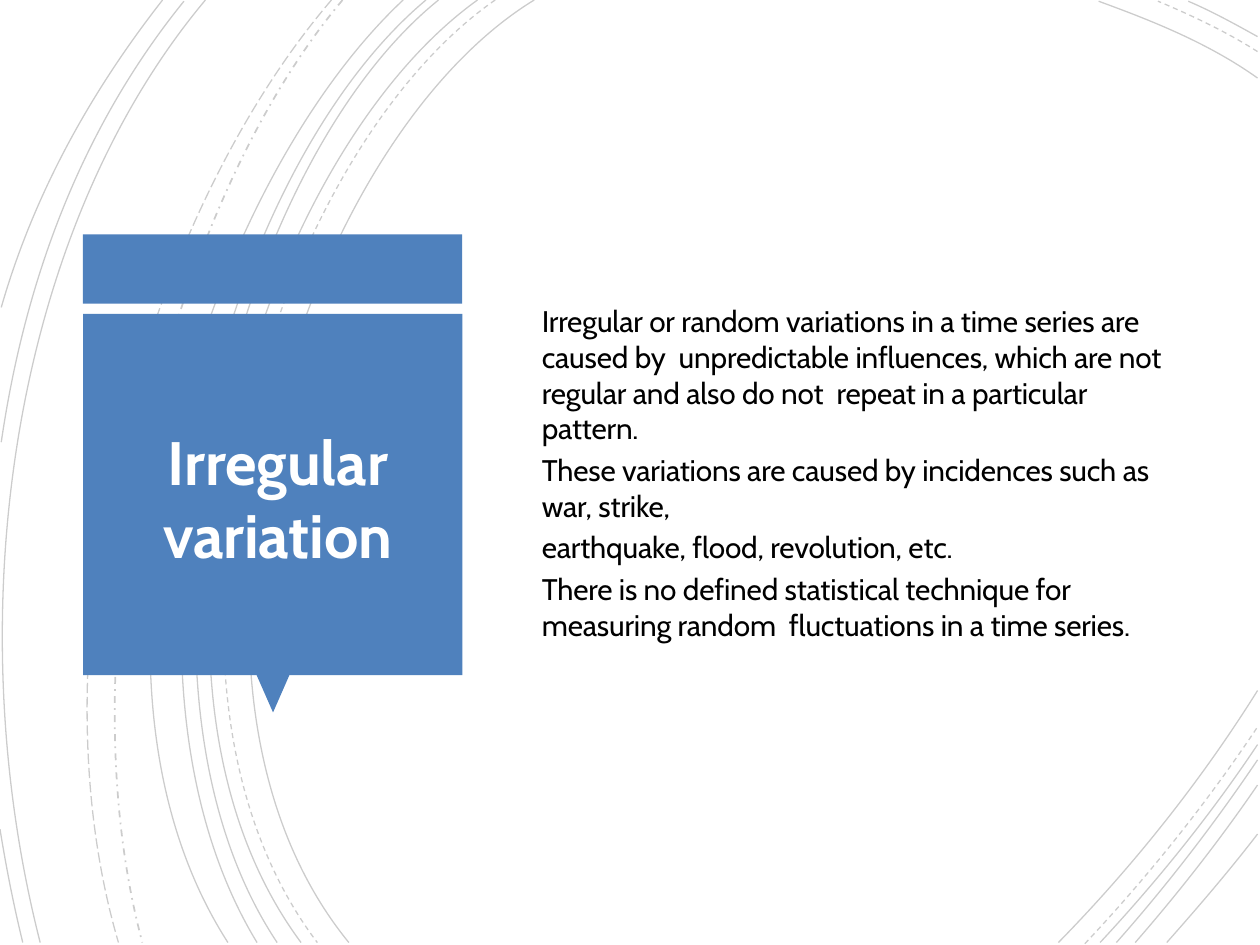
from lxml import etree
from pptx import Presentation
from pptx.dml.color import RGBColor
from pptx.enum.dml import MSO_LINE
from pptx.enum.shapes import MSO_SHAPE
from pptx.enum.text import MSO_ANCHOR, MSO_AUTO_SIZE, PP_ALIGN
from pptx.oxml.ns import qn
from pptx.util import Pt

BLACK = RGBColor(0x00, 0x00, 0x00)
WHITE = RGBColor(0xFF, 0xFF, 0xFF)
BLUE = RGBColor(0x4F, 0x81, 0xBD)
RECTANGLE = MSO_SHAPE.RECTANGLE
TRIANGLE = MSO_SHAPE.ISOSCELES_TRIANGLE
SOLID = MSO_LINE.SOLID
DASH = MSO_LINE.DASH
DASH_DOT = MSO_LINE.DASH_DOT
LONG_DASH = MSO_LINE.LONG_DASH
MIDDLE = MSO_ANCHOR.MIDDLE
NO_AUTOFIT = MSO_AUTO_SIZE.NONE
LEFT = PP_ALIGN.LEFT
CENTER = PP_ALIGN.CENTER

BOTTOM = 538.6
RIGHT = 718.6
ARCS = [
    (SOLID, 0.75, (305.3, 0), (169.9, 82.8), (77, 388.8), (199.4, BOTTOM)),
    (SOLID, 0.75, (RIGHT, 44.6), (690.5, 24.5), (657.4, 11.5), (627.8, 0.7)),
    (SOLID, 0.75, (604.8, BOTTOM), (645.8, 496.8), (685.4, 447.8), (RIGHT, 394.6)),
    (DASH, 0.75, (283, 0), (153.4, 90), (66.2, 386.6), (181.4, BOTTOM)),
    (DASH, 0.75, (RIGHT, 29.5), (700.6, 18), (680.4, 8.6), (661.7, 0.7)),
    (DASH, 0.75, (619.9, 539.3), (654.5, 502.6), (688.3, 460.8), (RIGHT, 415.4)),
    (SOLID, 0.75, (272.9, 0), (145.4, 91.4), (59, 386.6), (172.1, BOTTOM)),
    (SOLID, 0.75, (RIGHT, 20.9), (705.6, 13.7), (692.6, 6.5), (679, 0.7)),
    (SOLID, 0.75, (628.6, BOTTOM), (660.2, 504.7), (691.2, 466.6), (RIGHT, 425.5)),
    (SOLID, 0.75, (250.6, 0), (131.8, 95.8), (59, 389.5), (158.4, BOTTOM)),
    (SOLID, 0.75, (637.9, BOTTOM), (666, 506.9), (693.4, 471.6), (RIGHT, 434.2)),
    (SOLID, 0.75, (243.4, 0), (124.6, 99.4), (52.6, 383.8), (146.9, BOTTOM)),
    (SOLID, 0.75, (648.7, BOTTOM), (673.2, 510.5), (697, 480.2), (RIGHT, 448.6)),
    (SOLID, 0.75, (230.4, 0), (117.4, 105.8), (28.8, 380.9), (130.3, BOTTOM)),
    (SOLID, 0.75, (666.7, BOTTOM), (684, 519.1), (702, 498.2), (RIGHT, 476.6)),
    (DASH_DOT, 1, (195.8, 0), (95, 119.5), (35.3, 366.5), (81.4, BOTTOM)),
    (LONG_DASH, 0.75, (189.4, 0), (85, 121.7), (15.1, 359.3), (67.7, BOTTOM)),
    (SOLID, 0.75, (117.4, 0), (5.8, 133.2), (-24.5, 352.8), (23, BOTTOM)),
    (SOLID, 0.75, (105.1, 0.7), (49.7, 69.1), (15.1, 154.1), (0.7, 252.7)),
    (SOLID, 0.75, (0, 473.8), (3.6, 496.1), (7.9, 517.7), (13, BOTTOM)),
    (SOLID, 0.75, (92.9, 0), (54, 49.7), (20.2, 108), (0.7, 175.7)),
]
CAUSES = [
    "Irregular or random variations in a time series are caused by  unpredictable "
    "influences, which are not regular and also do not  repeat in a particular pattern.",
    "These variations are caused by incidences such as war, strike,",
    "earthquake, flood, revolution, etc.",
    "There is no defined statistical technique for measuring random  fluctuations "
    "in a time series.",
]


def write_paragraph(paragraph, text, *, size, color, bold=False, align=LEFT,
                    indent=0, before=None):
    """Write one formatted, unbulleted paragraph."""
    paragraph.alignment = align
    if before is not None:
        paragraph.space_before = Pt(before)
    properties = paragraph._p.get_or_add_pPr()
    properties.set("marL", str(Pt(indent)))
    properties.set("indent", "0")
    etree.SubElement(properties, qn("a:buNone"))
    run = paragraph.add_run()
    run.text = text
    run.font.name = "Cabin"
    run.font.size = Pt(size)
    run.font.bold = bold
    run.font.color.rgb = color
    run._r.get_or_add_rPr().set("spc", "-10")


class SlideBuilder:
    """Hold the style and the current slide."""

    def __init__(self, slide, accent=BLUE, line_color=BLACK, line_opacity=20):
        self.slide = slide
        self.accent = accent
        self.line_color = line_color
        self.line_opacity = line_opacity

    def group(self):
        """Add an empty group."""
        return self.slide.shapes.add_group_shape()

    def arc(self, group, dash, width, *points):
        """Draw one faint Bezier curve."""
        start, *rest = [(Pt(x), Pt(y)) for x, y in points]
        builder = group.shapes.build_freeform(*start)
        builder.add_line_segments(rest, close=False)
        curve = builder.convert_to_shape()
        curve.shadow.inherit = False
        curve.fill.background()
        curve.line.width = Pt(width)
        curve.line.color.rgb = self.line_color
        curve.line.dash_style = dash
        color = next(curve.line._ln.iter(qn("a:srgbClr")))
        etree.SubElement(color, qn("a:alpha"), val=str(self.line_opacity * 1000))
        outline = next(curve._element.iter(qn("a:path")))
        segments = outline.findall(qn("a:lnTo"))
        bezier = etree.SubElement(outline, qn("a:cubicBezTo"))
        for segment in segments:
            bezier.append(segment[0])
            outline.remove(segment)

    def block(self, group, kind, left, top, width, height, rotation=0):
        """Add one plain accent-coloured shape."""
        block = group.shapes.add_shape(kind, Pt(left), Pt(top), Pt(width), Pt(height))
        block.rotation = rotation
        block.shadow.inherit = False
        block.fill.solid()
        block.fill.fore_color.rgb = self.accent
        block.line.fill.background()

    def placeholder(self, index, left, top, width, height, texts, **text_format):
        """Place and fill a placeholder in front of the other shapes."""
        holder = self.slide.placeholders[index]
        holder.left, holder.top = Pt(left), Pt(top)
        holder.width, holder.height = Pt(width), Pt(height)
        self.slide.shapes._spTree.append(holder._element)
        frame = holder.text_frame
        frame.word_wrap = True
        frame.auto_size = NO_AUTOFIT
        frame.vertical_anchor = MIDDLE
        for number, text in enumerate(texts):
            paragraph = frame.add_paragraph() if number else frame.paragraphs[0]
            write_paragraph(paragraph, text, **text_format)


def main():
    """Build the slide and save it."""
    deck = Presentation()
    deck.slide_width, deck.slide_height = Pt(720), Pt(540)
    page = SlideBuilder(deck.slides.add_slide(deck.slide_layouts[1]))

    swirl = page.group()
    for arc in ARCS:
        page.arc(swirl, *arc)

    callout = page.group()
    page.block(callout, RECTANGLE, 47.4, 134, 216.8, 39.5)
    page.block(callout, TRIANGLE, 146.6, 385.7, 18.8, 21.4, rotation=180)
    page.block(callout, RECTANGLE, 47.5, 179.4, 216.7, 206.4)

    page.placeholder(0, 53.3, 190.1, 203.8, 188.6, ["Irregular variation"], size=35,
                     color=WHITE, bold=True, align=CENTER, indent=7.2, before=3.3)
    page.placeholder(1, 302.4, 63.4, 370.8, 413.3, CAUSES, size=17, color=BLACK)
    deck.save("out.pptx")


if __name__ == "__main__":
    main()
